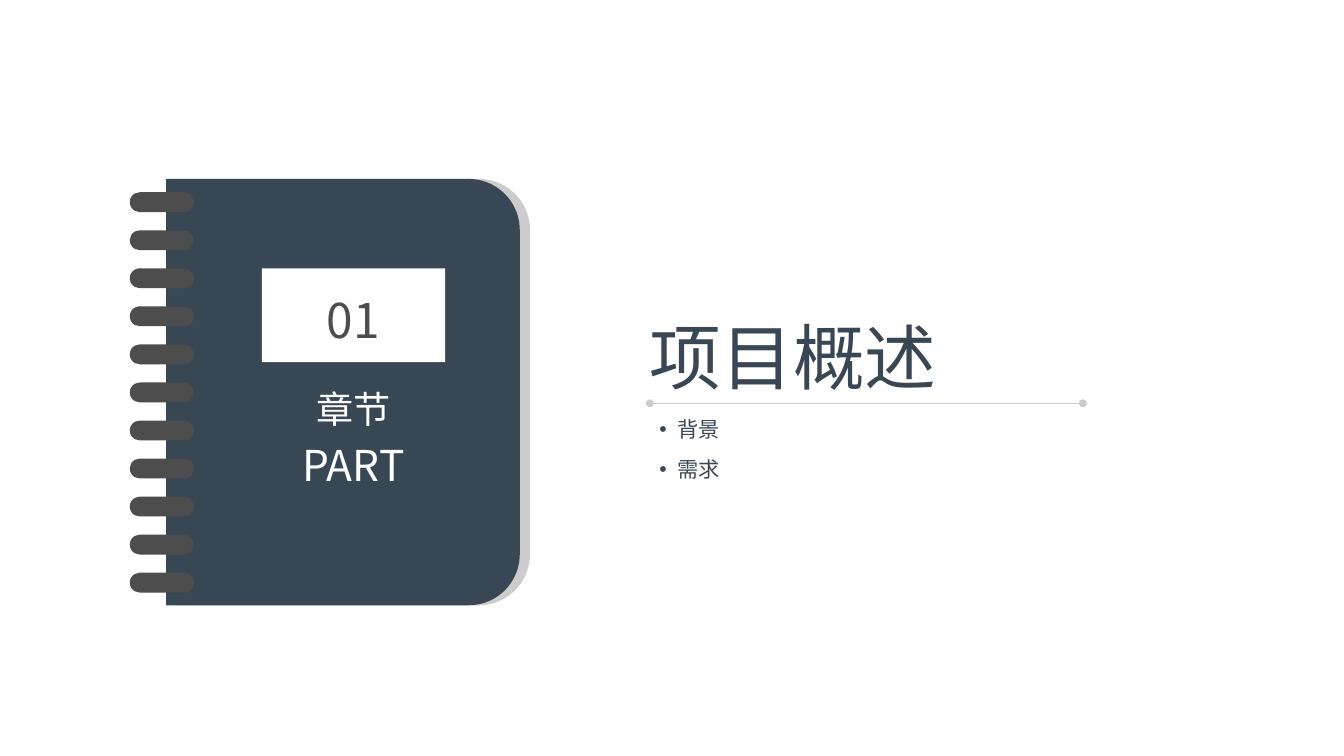
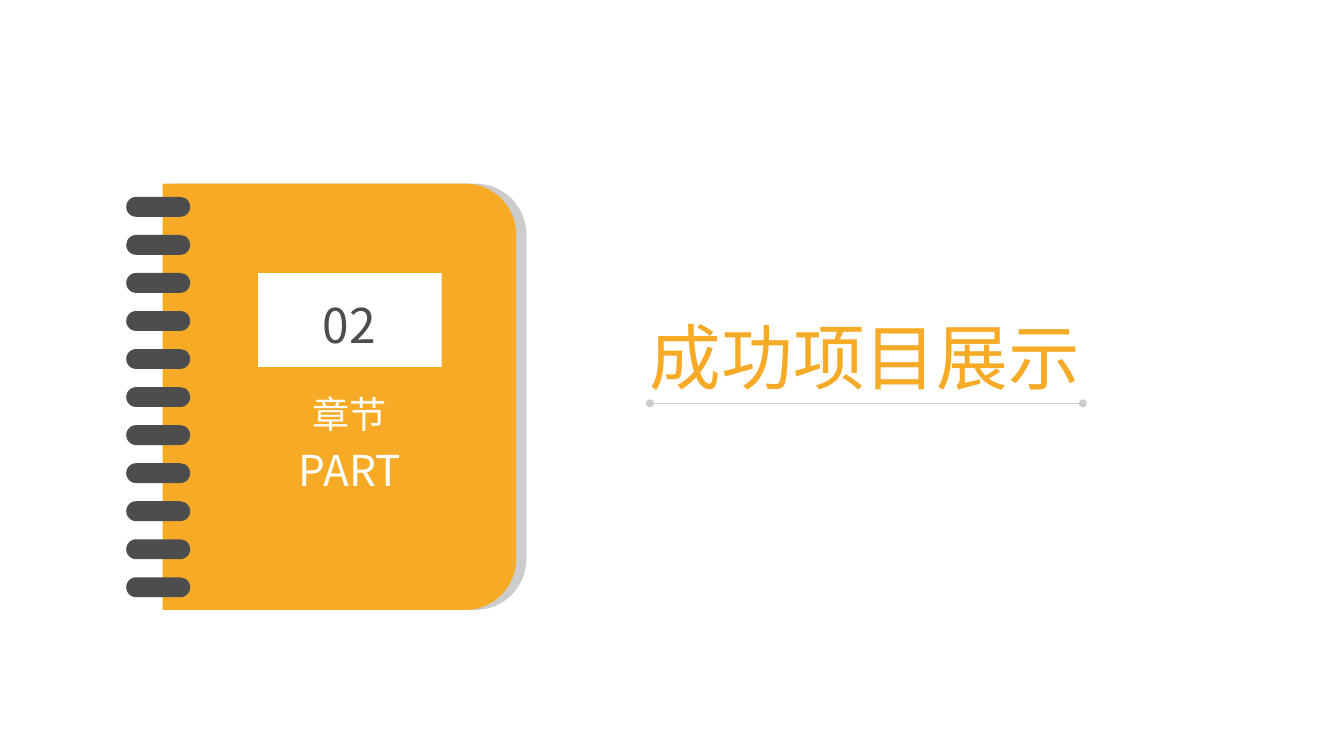
import math

from lxml import etree
from pptx import Presentation
from pptx import util as u
from pptx.dml.color import RGBColor
from pptx.enum import shapes, text
from pptx.oxml.ns import qn

# Content: one entry per section slide; origin is the cover's top left corner
SECTIONS = [
    {"number": "01", "title": "项目概述", "topics": ["背景", "需求"],
     "color": "394754", "origin": (125.2, 134.8)},
    {"number": "02", "title": "成功项目展示", "topics": [],
     "color": "F6AA26", "origin": (122.5, 138.3)},
]
CAPTION = [("章节", 28), ("PART", 32)]

# Shared style, lengths in points
FONT = "Noto Sans CJK SC"
WHITE, GRAY, DARK = "FFFFFF", "CCCCCC", "4D4D4D"
SLIDE_SIZE = (1012.5, 569.5)
TEXT_LEFT, RULE_TOP, RULE_WIDTH = 489.6, 303.8, 326.2
TITLE_BOX = (TEXT_LEFT, 235.4, 352, 65.5)
TOPIC_BOX, TOPIC_PITCH = (TEXT_LEFT, 310.3, 60, 26.6), 29.8
COVER_WIDTH, COVER_HEIGHT, CORNER = 266.4, 321.2, 38.5
COVER_DEPTH = 7.7
RING_COUNT, RING_PITCH = 11, 28.66
# Boxes measured from the cover's top left corner
FIRST_RING = (-27.4, 10, 48.2, 15)
LABEL_BOX = (72, 67.4, 138.2, 70.6)
NUMBER_BOX = (75.6, 84.2, 130.3, 43.9)
CAPTION_BOX = (86.4, 156.2, 109.4, 80.6)


def rgb(value):
    return RGBColor.from_string(value)


def points(values):
    return [u.Pt(value) for value in values]


def shifted(box, origin, down=0):
    left, top, width, height = box
    return points((origin[0] + left, origin[1] + top + down, width, height))


def paint(shape, color):
    shape.shadow.inherit = False
    shape.fill.solid()
    shape.fill.fore_color.rgb = rgb(color)
    shape.line.fill.background()


def style(paragraph, size, color, align=text.PP_ALIGN.LEFT):
    paragraph.alignment = align
    font = paragraph.font
    font.size, font.name, font.bold = u.Pt(size), FONT, False
    font.color.rgb = rgb(color)
    properties = paragraph._p.get_or_add_pPr().find(qn("a:defRPr"))
    etree.SubElement(properties, qn("a:ea"), typeface=FONT)


def clear_margins(frame):
    frame.margin_left = frame.margin_right = 0
    frame.margin_top = frame.margin_bottom = 0
    frame.word_wrap = True
    frame.vertical_anchor = text.MSO_ANCHOR.TOP


def add_centered_lines(parent, box, lines, color):
    frame = parent.add_textbox(*box).text_frame
    clear_margins(frame)
    frame.auto_size = text.MSO_AUTO_SIZE.SHAPE_TO_FIT_TEXT
    for index, (line, size) in enumerate(lines):
        paragraph = frame.add_paragraph() if index else frame.paragraphs[0]
        paragraph.text = line
        paragraph.space_before = u.Pt(0.2 * size)
        style(paragraph, size, color, text.PP_ALIGN.CENTER)


def add_cover(parent, left, top, color):
    """Square corners at the spine, round corners on the right."""
    outline = [(left, top)]
    center_x = left + COVER_WIDTH - CORNER
    for center_y, start in ((top + CORNER, -90),
                            (top + COVER_HEIGHT - CORNER, 0)):
        for degrees in range(start, start + 91, 5):
            angle = math.radians(degrees)
            outline.append((center_x + CORNER * math.cos(angle),
                            center_y + CORNER * math.sin(angle)))
    outline.append((left, top + COVER_HEIGHT))
    builder = parent.build_freeform(*points(outline[0]))
    builder.add_line_segments([points(vertex) for vertex in outline[1:]])
    paint(builder.convert_to_shape(), color)


def add_notebook(slide, section):
    parent = slide.shapes.add_group_shape().shapes
    origin = left, top = section["origin"]
    add_cover(parent, left + COVER_DEPTH, top, GRAY)
    add_cover(parent, left, top, section["color"])
    label = parent.add_shape(shapes.MSO_SHAPE.RECTANGLE,
                             *shifted(LABEL_BOX, origin))
    paint(label, WHITE)
    for index in range(RING_COUNT):
        ring = parent.add_shape(shapes.MSO_SHAPE.ROUNDED_RECTANGLE,
                                *shifted(FIRST_RING, origin, index * RING_PITCH))
        ring.adjustments[0] = 0.5
        paint(ring, DARK)
    add_centered_lines(parent, shifted(NUMBER_BOX, origin),
                       [(section["number"], 36)], DARK)
    add_centered_lines(parent, shifted(CAPTION_BOX, origin), CAPTION, WHITE)


def add_rule(slide):
    start, end, y = points((TEXT_LEFT, TEXT_LEFT + RULE_WIDTH, RULE_TOP))
    rule = slide.shapes.add_connector(shapes.MSO_CONNECTOR.STRAIGHT,
                                      start, y, end, y)
    rule.line.color.rgb = rgb(GRAY)
    rule.line.width = u.Pt(1)
    line = rule.line._get_or_add_ln()
    for tag in ("a:headEnd", "a:tailEnd"):
        etree.SubElement(line, qn(tag), type="oval")
    etree.SubElement(rule._element.spPr, qn("a:effectLst"))


def add_title(slide, section):
    title = slide.shapes.title
    title.left, title.top, title.width, title.height = points(TITLE_BOX)
    title.text = section["title"]
    clear_margins(title.text_frame)
    title.text_frame.auto_size = text.MSO_AUTO_SIZE.NONE
    style(title.text_frame.paragraphs[0], 54, section["color"])


def add_topics(slide, section):
    for index, topic in enumerate(section["topics"]):
        box = shifted(TOPIC_BOX, (0, 0), index * TOPIC_PITCH)
        frame = slide.shapes.add_textbox(*box).text_frame
        frame.word_wrap = False
        frame.auto_size = text.MSO_AUTO_SIZE.SHAPE_TO_FIT_TEXT
        paragraph = frame.paragraphs[0]
        paragraph.text = topic
        properties = paragraph._p.get_or_add_pPr()
        indent = u.Pt(13.5)
        properties.set("marL", str(indent))
        properties.set("indent", str(-indent))
        etree.SubElement(properties, qn("a:buFont"), typeface="Arial")
        etree.SubElement(properties, qn("a:buChar"), char="•")
        style(paragraph, 16, section["color"])


presentation = Presentation()
presentation.slide_width, presentation.slide_height = points(SLIDE_SIZE)
title_only = presentation.slide_layouts[5]
for section in SECTIONS:
    slide = presentation.slides.add_slide(title_only)
    add_rule(slide)
    add_title(slide, section)
    add_topics(slide, section)
    add_notebook(slide, section)
presentation.save("out.pptx")
